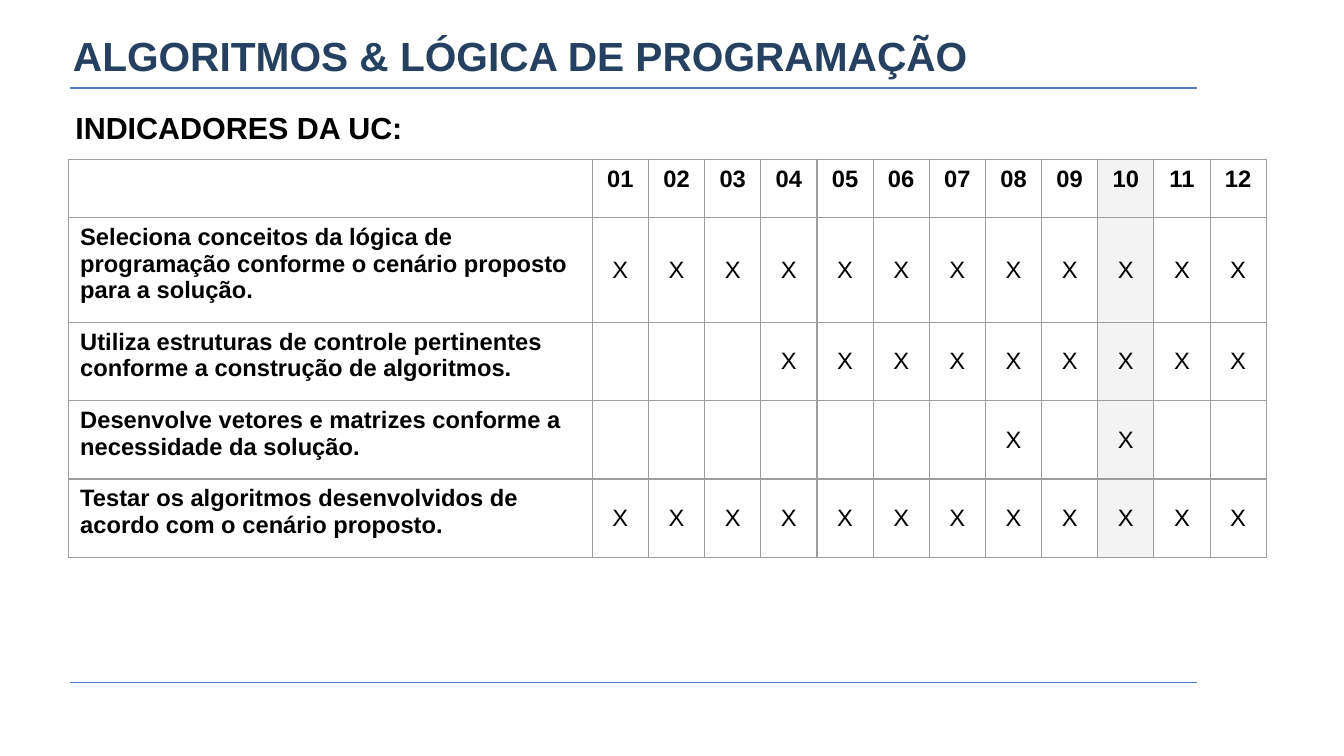
"""Build the course slide that maps unit indicators to lessons."""
from lxml.etree import SubElement
from pptx import Presentation
from pptx.dml.color import RGBColor
from pptx.enum.shapes import MSO_CONNECTOR as Connector
from pptx.enum.text import MSO_ANCHOR as Anchor, PP_ALIGN as Align
from pptx.oxml.ns import qn
from pptx.util import Cm, Pt

TITLE = "ALGORITMOS & LÓGICA DE PROGRAMAÇÃO"
SUBTITLE = "INDICADORES DA UC:"
LESSONS = range(1, 13)
CURRENT_LESSON = 10
INDICATORS = [
    ("Seleciona conceitos da lógica de programação conforme o cenário proposto para a solução.", LESSONS),
    ("Utiliza estruturas de controle pertinentes conforme a construção de algoritmos.", range(4, 13)),
    ("Desenvolve vetores e matrizes conforme a necessidade da solução.", (8, 10)),
    ("Testar os algoritmos desenvolvidos de acordo com o cenário proposto.", LESSONS),
]
COLORS = {"title": "254061", "text": "000000", "rule": "4F81BD", "border": "9E9E9E", "current": "F3F3F3"}
FONT = "Arial"
RULE_LEFT, RULE_RIGHT = 1.45, 24.94
RULE_HEIGHTS = (14.22, 1.83)
INDICATOR_WIDTH, LESSON_WIDTH = 10.92, 1.17
ROW_HEIGHTS = (1.22, 2.18, 1.63, 1.63, 1.63)


def write(frame, text, size, color="text", bold=True):
    frame.text = text
    para = frame.paragraphs[0]
    for span in para.runs:
        span.font.name = FONT
        span.font.size = Pt(size)
        span.font.bold = bold
        span.font.color.rgb = RGBColor.from_string(COLORS[color])
    return para


def add_rule(page, height):
    rule = page.shapes.add_connector(Connector.STRAIGHT, Cm(RULE_LEFT), Cm(height), Cm(RULE_RIGHT), Cm(height))
    rule.line.color.rgb = RGBColor.from_string(COLORS["rule"])
    rule.line.width = Pt(1)
    SubElement(rule.element.spPr, qn("a:effectLst"))


def add_text_box(page, left, top, width, height, margin):
    frame = page.shapes.add_textbox(Cm(left), Cm(top), Cm(width), Cm(height)).text_frame
    frame.word_wrap = True
    frame.margin_left = frame.margin_right = frame.margin_top = frame.margin_bottom = Cm(margin)
    return frame


def style_cell(cell, current):
    properties = cell._tc.get_or_add_tcPr()
    for side in ("lnL", "lnR", "lnT", "lnB"):
        border = SubElement(properties, qn(f"a:{side}"), w=str(Pt(0.75)))
        fill = SubElement(border, qn("a:solidFill"))
        SubElement(fill, qn("a:srgbClr"), val=COLORS["border"])
    if current:
        cell.fill.solid()
        cell.fill.fore_color.rgb = RGBColor.from_string(COLORS["current"])
    else:
        cell.fill.background()
    cell.margin_left = cell.margin_right = Cm(0.25)
    cell.margin_top = cell.margin_bottom = Cm(0.13)


def add_indicator_table(page):
    rows = [["", *(f"{lesson:02}" for lesson in LESSONS)]]
    for indicator, covered in INDICATORS:
        rows.append([indicator, *("X" if lesson in covered else "" for lesson in LESSONS)])
    widths = [INDICATOR_WIDTH] + [LESSON_WIDTH] * len(LESSONS)
    table = page.shapes.add_table(
        len(rows), len(widths), Cm(1.42), Cm(3.32), Cm(sum(widths)), Cm(sum(ROW_HEIGHTS))).table
    table.first_row = table.horz_banding = False
    for column, width in zip(table.columns, widths):
        column.width = Cm(width)
    for row, height in zip(table.rows, ROW_HEIGHTS):
        row.height = Cm(height)
    for row_index, row in enumerate(rows):
        for lesson, text in enumerate(row):
            cell = table.cell(row_index, lesson)
            style_cell(cell, lesson == CURRENT_LESSON)
            is_mark = row_index > 0 and lesson > 0
            para = write(cell.text_frame, text, 14, bold=not is_mark)
            para.alignment = Align.CENTER if lesson else Align.LEFT
            cell.vertical_anchor = Anchor.MIDDLE if is_mark else Anchor.TOP


def main():
    deck = Presentation()
    deck.slide_width, deck.slide_height = Cm(28), Cm(15.75)
    page = deck.slides.add_slide(deck.slide_layouts[6])
    for height in RULE_HEIGHTS:
        add_rule(page, height)
    title = add_text_box(page, 1.52, 0.56, 24.94, 1.2, 0)
    title.vertical_anchor = Anchor.MIDDLE
    write(title, TITLE, 24, "title")
    subtitle = write(add_text_box(page, 1.32, 1.9, 25.17, 12.24, 0.25), SUBTITLE, 18)
    subtitle.line_spacing = 1.15
    subtitle.space_after = Pt(10)
    add_indicator_table(page)
    deck.save("out.pptx")


if __name__ == "__main__":
    main()
